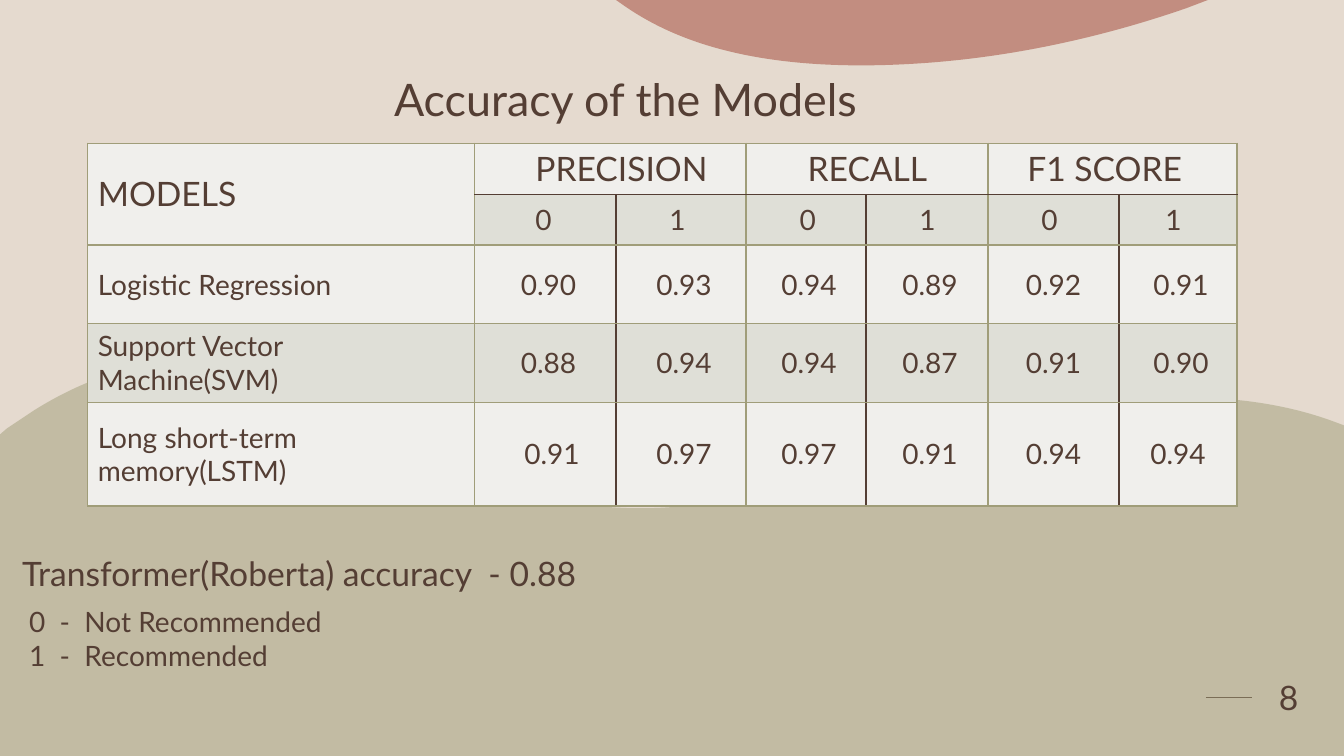
from lxml.etree import SubElement
from pptx import Presentation
from pptx.dml.color import RGBColor
from pptx.enum.shapes import MSO_CONNECTOR
from pptx.enum.text import MSO_ANCHOR, PP_ALIGN
from pptx.oxml import parse_xml
from pptx.oxml.ns import nsdecls, qn
from pptx.util import Inches, Pt

BACKGROUND = RGBColor(0xE5, 0xDA, 0xCF)
BROWN = RGBColor(0x54, 0x3E, 0x34)
OLIVE = RGBColor(0xA0, 0x9D, 0x79)
CLAY = RGBColor(0xAC, 0x5B, 0x4C)
LIGHT = RGBColor(0xF0, 0xEF, 0xEC)
SHADE = RGBColor(0xDF, 0xDF, 0xD7)
FONT = "Lato"

HILL = [
    (2.02, 3.58),
    (2.36, 3.59, 2.7, 3.66, 3.04, 3.79),
    (3.34, 3.9, 3.6, 4.08, 3.86, 4.25),
    (4.43, 4.62, 5.05, 4.9, 5.77, 5),
    (6.37, 5.09, 6.98, 5.03, 7.59, 4.88),
    (8.27, 4.72, 8.67, 4.57, 9.08, 4.43),
    (9.48, 4.29, 11.61, 3.57, 13.25, 4.19),
    (13.33, 4.22), (13.33, 7.5), (0, 7.5), (0, 4.31), (0.07, 4.25),
    (0.16, 4.19, 0.25, 4.13, 0.34, 4.07),
    (0.9, 3.72, 1.46, 3.56, 2.02, 3.58),
]
CAP = [
    (6.11, 0), (11.98, 0), (11.77, 0.08),
    (10.56, 0.5, 9.61, 0.59, 9.24, 0.62),
    (7.56, 0.75, 6.71, 0.41, 6.21, 0.07),
]

COLUMNS = [3.84, 1.4, 1.29, 1.19, 1.21, 1.3, 1.17]
ROWS = [0.51, 0.44, 0.78, 0.78, 1.03]
METRICS = [("PRECISION", 0.6), ("RECALL", 0.61), ("F1 SCORE", 0.39)]
CLASS_INDENTS = [0.6, 0.53, 0.53, 0.53, 0.53, 0.46]
MODELS = [
    ("Logistic Regression", LIGHT,
     ["0.90", "0.93", "0.94", "0.89", "0.92", "0.91"],
     [0.16, 0.16, 0.16, 0.16, 0.1, 0.16]),
    ("Support Vector Machine(SVM)", SHADE,
     ["0.88", "0.94", "0.94", "0.87", "0.91", "0.90"],
     [0.16, 0.16, 0.16, 0.16, 0.1, 0.16]),
    ("Long short-term memory(LSTM)", LIGHT,
     ["0.91", "0.97", "0.97", "0.91", "0.94", "0.94"],
     [0.23, 0.16, 0.16, 0.16, 0.1, 0.1]),
]


def write(tf, text, size=20, align=PP_ALIGN.LEFT):
    for i, line in enumerate(text.split("\n")):
        p = tf.paragraphs[0] if i == 0 else tf.add_paragraph()
        p.alignment = align
        r = p.add_run()
        r.text = line
        r.font.name = FONT
        r.font.size = Pt(size)
        r.font.color.rgb = BROWN


def add_text(s, box, text, anchor=MSO_ANCHOR.TOP, **fmt):
    tf = s.shapes.add_textbox(*map(Inches, box)).text_frame
    tf.word_wrap = True
    tf.vertical_anchor = anchor
    write(tf, text, **fmt)


def add_blob(s, outline, color, opacity):
    start, *corners = [tuple(map(Inches, part[-2:])) for part in outline]
    builder = s.shapes.build_freeform(*start)
    builder.add_line_segments(corners, close=True)
    sp = builder.convert_to_shape()
    segments = sp._element.findall(".//" + qn("a:lnTo"))
    for segment, part in zip(segments, outline[1:]):
        if len(part) == 6:
            segment.tag = qn("a:cubicBezTo")
            for i, (x, y) in enumerate([part[:2], part[2:4]]):
                pt = SubElement(segment, qn("a:pt"))
                pt.set("x", str(Inches(x) - sp.left))
                pt.set("y", str(Inches(y) - sp.top))
                segment.insert(i, pt)
    sp.shadow.inherit = False
    sp.fill.solid()
    sp.fill.fore_color.rgb = color
    sp.line.fill.background()
    rgb = sp.fill._xPr.find(".//" + qn("a:srgbClr"))
    SubElement(rgb, qn("a:alpha")).set("val", str(opacity * 1000))


def add_backdrop(s):
    s.background.fill.solid()
    s.background.fill.fore_color.rgb = BACKGROUND
    dash = s.shapes.add_connector(MSO_CONNECTOR.STRAIGHT, Inches(11.96), Inches(6.92),
                                  Inches(12.42), Inches(6.92))
    dash.line.color.rgb = BROWN
    dash.line.width = Pt(1.25)
    SubElement(dash._element.spPr, qn("a:effectLst"))
    add_blob(s, HILL, OLIVE, 50)
    add_blob(s, CAP, CLAY, 60)


def set_borders(cell, row, col):
    inner = row > 0 and col > 0
    dark = {
        "lnL": inner and col % 2 == 0,
        "lnR": inner and col % 2 == 1,
        "lnT": row == 1 and col > 0,
        "lnB": row == 0 and col > 0,
    }
    tcPr = cell._tc.get_or_add_tcPr()
    for i, (side, is_dark) in enumerate(dark.items()):
        tcPr.insert(i, parse_xml(
            f'<a:{side} {nsdecls("a")} w="{Pt(1)}"><a:solidFill>'
            f'<a:srgbClr val="{BROWN if is_dark else OLIVE}"/>'
            f'</a:solidFill></a:{side}>'))


def fill_cell(cell, text, indent=0.1, **fmt):
    cell.vertical_anchor = MSO_ANCHOR.MIDDLE
    cell.margin_left = Inches(indent)
    write(cell.text_frame, text, **fmt)


def add_scores(s, left, top):
    table = s.shapes.add_table(len(ROWS), len(COLUMNS), Inches(left), Inches(top),
                               Inches(sum(COLUMNS)), Inches(sum(ROWS))).table
    for column, width in zip(table.columns, COLUMNS):
        column.width = Inches(width)
    for row, height in zip(table.rows, ROWS):
        row.height = Inches(height)

    fills = [LIGHT, SHADE] + [model[1] for model in MODELS]
    for i, color in enumerate(fills):
        for j in range(len(COLUMNS)):
            cell = table.cell(i, j)
            cell.fill.solid()
            cell.fill.fore_color.rgb = color
            set_borders(cell, i, j)

    table.cell(0, 0).merge(table.cell(1, 0))
    fill_cell(table.cell(0, 0), "MODELS", size=24)
    for i, (metric, indent) in enumerate(METRICS):
        col = 1 + 2 * i
        table.cell(0, col).merge(table.cell(0, col + 1))
        fill_cell(table.cell(0, col), metric, indent, size=24)
    for i, indent in enumerate(CLASS_INDENTS):
        fill_cell(table.cell(1, i + 1), str(i % 2), indent)
    for i, (name, _, scores, indents) in enumerate(MODELS, 2):
        fill_cell(table.cell(i, 0), name)
        for j, (score, indent) in enumerate(zip(scores, indents), 1):
            fill_cell(table.cell(i, j), score, indent, align=PP_ALIGN.CENTER)


def add_notes_below(s, left, top):
    add_text(s, (left, top, 7.68, 0.5), "Transformer(Roberta) accuracy  - 0.88", size=24)
    add_text(s, (left + 0.07, top + 0.51, 5.07, 0.77),
             "0  -  Not Recommended\n1  -  Recommended")


def main():
    prs = Presentation()
    prs.slide_width, prs.slide_height = Inches(13.33), Inches(7.5)
    s = prs.slides.add_slide(prs.slide_layouts[6])
    add_backdrop(s)
    add_scores(s, 0.87, 1.42)
    add_text(s, (12.42, 6.43, 0.72, 0.98), "8", anchor=MSO_ANCHOR.MIDDLE,
             size=24, align=PP_ALIGN.CENTER)
    add_text(s, (3.81, 0.66, 5.23, 0.64), "Accuracy of the Models", size=32)
    add_notes_below(s, 0.12, 5.44)
    prs.save("out.pptx")


if __name__ == "__main__":
    main()
